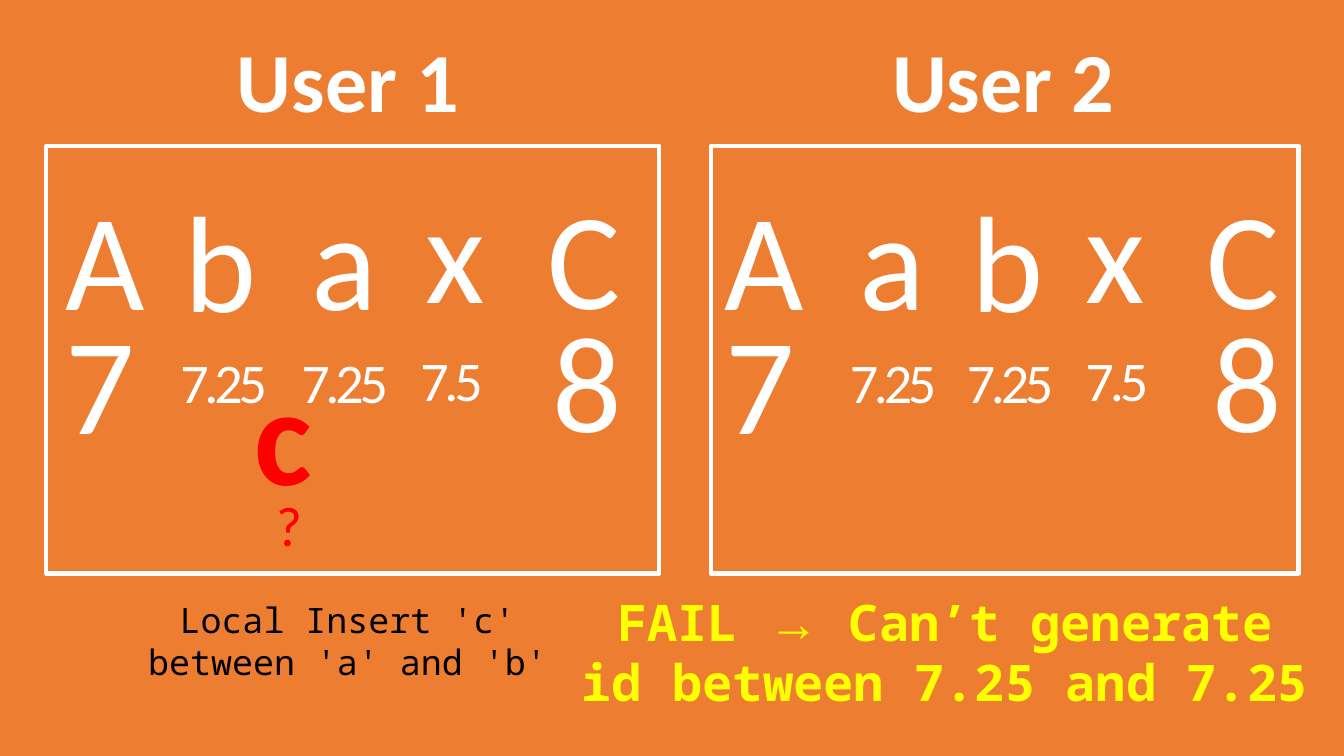
"""Build a slide on two users whose fractional ids collide."""
from pptx import Presentation
from pptx.dml.color import RGBColor
from pptx.enum.shapes import MSO_SHAPE
from pptx.enum.text import MSO_ANCHOR, MSO_AUTO_SIZE, PP_ALIGN
from pptx.util import Inches, Pt

RECTANGLE = MSO_SHAPE.RECTANGLE
TOP = MSO_ANCHOR.TOP
GROW = MSO_AUTO_SIZE.SHAPE_TO_FIT_TEXT
LEFT, CENTER = PP_ALIGN.LEFT, PP_ALIGN.CENTER

USERS = [
    {
        "name": "User 1", "heading": (1.94, 0.23, 3.02, 1.11),
        "panel": (0.46, 1.45, 6.08, 4.24),
        "letters": {"A": 0.55, "b": 1.73, "a": 2.99, "x": 4.12, "C": 5.33},
        "ids": [("7", 0.55), ("7.25", 1.69), ("7.25", 2.89), ("7.5", 4.07), ("8", 5.38)],
    },
    {
        "name": "User 2", "heading": (8.44, 0.23, 3.02, 1.11),
        "panel": (7.05, 1.45, 5.83, 4.24),
        "letters": {"A": 7.09, "a": 8.43, "b": 9.54, "x": 10.67, "C": 11.87},
        "ids": [("7", 7.1), ("7.25", 8.33), ("7.25", 9.49), ("7.5", 10.67), ("8", 11.93)],
    },
]
LETTER_TOPS = {"A": 1.67, "a": 1.67, "b": 1.69, "x": 1.6, "C": 1.66}
ID_TOPS = {"7": 2.9, "7.25": 3.4, "7.5": 3.38, "8": 2.88}
ID_WIDTHS = {"7.25": 1.08, "7.5": 0.91}
BIG_SIZE = (0.94, 1.75)
SMALL_HEIGHT = 0.77

INSERTED = ("c", (2.43, 3.41, *BIG_SIZE))
UNKNOWN_ID = ("?", (2.64, 4.82, 0.66, SMALL_HEIGHT))
ACTION = ("Local Insert 'c' between 'a' and 'b'", (1.2, 5.89, 4.49, 0.94))
RESULT = [("FAIL ", "result"), ("→", "arrow"),
          (" Can’t generate id between 7.25 and 7.25", "result")]
RESULT_PLACE = (5.58, 5.81, 7.58, 1.31)

WHITE, RED, YELLOW = "FFFFFF", "FF0000", "FFFF00"
SANS, MONO, SERIF = "Calibri", "Noto Sans Mono", "Times New Roman"
THEME = {
    "background": "ED7D31",
    "panel": WHITE,
    "panel_line": 3,
    "id_spacing": -3,
    "heading": {"name": SANS, "size": 60, "color": WHITE, "bold": True},
    "big": {"name": SANS, "size": 98, "color": WHITE, "bold": False},
    "small": {"name": SANS, "size": 40, "color": WHITE, "bold": False},
    "inserted": {"name": SANS, "size": 98, "color": RED, "bold": True},
    "unknown": {"name": SANS, "size": 40, "color": RED, "bold": False},
    "action": {"name": MONO, "size": 25, "color": "000000", "bold": False},
    "result": {"name": MONO, "size": 36, "color": YELLOW, "bold": True},
    "arrow": {"name": SERIF, "size": 36, "color": YELLOW, "bold": True},
}
TIGHT_STYLES = ("small", "unknown")


def place(shape, frame):
    """Move and size a shape in inches."""
    for name, value in zip(("left", "top", "width", "height"), frame):
        setattr(shape, name, Inches(value))


def style_span(span, style):
    """Apply a theme text style to a span."""
    for name, value in THEME[style].items():
        if name == "color":
            span.font.color.rgb = RGBColor.from_string(value)
        else:
            setattr(span.font, name, Pt(value) if name == "size" else value)
    if style in TIGHT_STYLES:
        span._r.get_or_add_rPr().set("spc", str(THEME["id_spacing"] * 100))


def write(box, spans, align=LEFT):
    """Fill a box with one paragraph of styled spans."""
    frame_format = {"word_wrap": True, "auto_size": GROW, "vertical_anchor": TOP}
    for name, value in frame_format.items():
        setattr(box.text_frame, name, value)
    para = box.text_frame.paragraphs[0]
    para_format = {"alignment": align, "space_before": Pt(0), "line_spacing": 1.0}
    for name, value in para_format.items():
        setattr(para, name, value)
    for text, style in spans:
        span = para.add_run()
        span.text = text
        style_span(span, style)


def add_text(page, text, frame, style, align=LEFT):
    """Add a text box in one style."""
    box = page.shapes.add_textbox(*map(Inches, frame))
    write(box, [(text, style)], align)


def add_panel(page, frame):
    """Add an outlined panel."""
    panel = page.shapes.add_shape(RECTANGLE, *map(Inches, frame))
    panel.shadow.inherit = False
    panel.fill.background()
    panel.line.color.rgb = RGBColor.from_string(THEME["panel"])
    panel.line.width = Pt(THEME["panel_line"])


def add_user(page, user, heading):
    """Add the heading, panel, letters and ids of one user."""
    place(heading, user["heading"])
    write(heading, [(user["name"], "heading")], CENTER)
    add_panel(page, user["panel"])
    for letter, left in user["letters"].items():
        add_text(page, letter, (left, LETTER_TOPS[letter], *BIG_SIZE), "big")
    for value, left in user["ids"]:
        small = value in ID_WIDTHS
        size = (ID_WIDTHS[value], SMALL_HEIGHT) if small else BIG_SIZE
        add_text(page, value, (left, ID_TOPS[value], *size), "small" if small else "big")


def main():
    """Build and save the deck."""
    deck = Presentation()
    deck.slide_width, deck.slide_height = Inches(13.33), Inches(7.5)
    page = deck.slides.add_slide(deck.slide_layouts.get_by_name("Comparison"))
    page.background.fill.solid()
    page.background.fill.fore_color.rgb = RGBColor.from_string(THEME["background"])

    title, first, first_body, second, second_body = page.placeholders
    for body in (first_body, second_body):
        body.element.getparent().remove(body.element)
    for user, heading in zip(USERS, (first, second)):
        add_user(page, user, heading)

    add_text(page, *INSERTED, "inserted")
    add_text(page, *UNKNOWN_ID, "unknown")
    add_text(page, *ACTION, "action", CENTER)
    place(title, RESULT_PLACE)
    write(title, RESULT, CENTER)
    deck.save("out.pptx")


if __name__ == "__main__":
    main()
